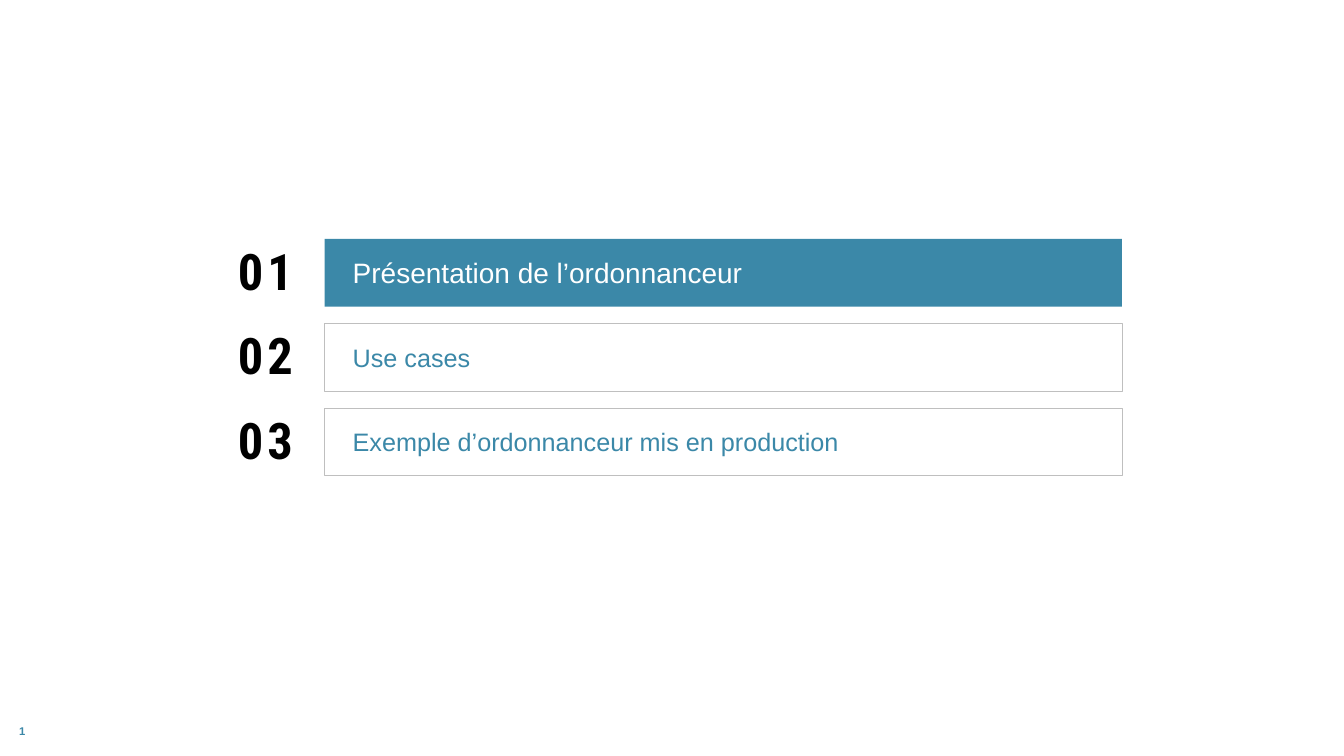
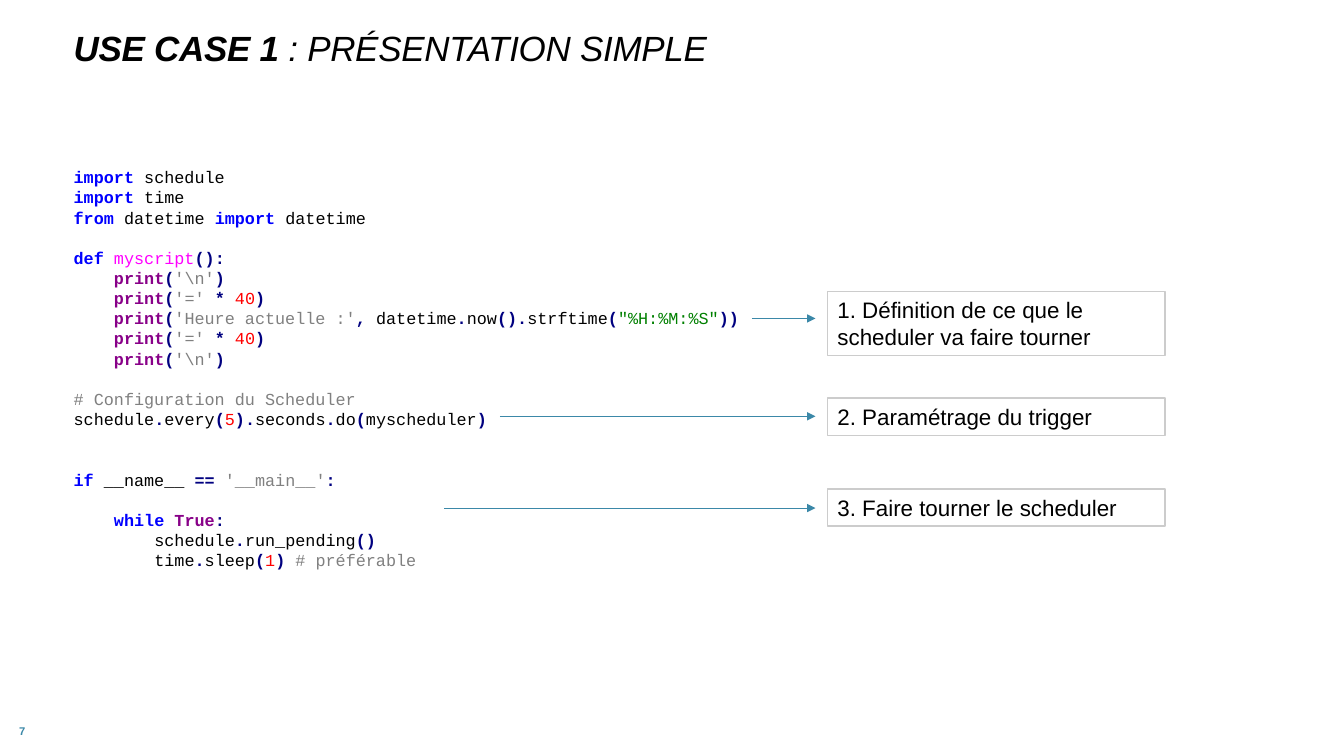
from dataclasses import dataclass

from pptx import Presentation
from pptx.dml.color import RGBColor
from pptx.enum.shapes import MSO_CONNECTOR, MSO_SHAPE
from pptx.enum.text import MSO_ANCHOR, MSO_AUTO_SIZE, PP_ALIGN
from pptx.oxml.ns import qn
from pptx.util import Pt
from lxml import etree

RECTANGLE = MSO_SHAPE.RECTANGLE
STRAIGHT = MSO_CONNECTOR.STRAIGHT
LEFT = PP_ALIGN.LEFT
TOP, MIDDLE = MSO_ANCHOR.TOP, MSO_ANCHOR.MIDDLE
TITLE_ONLY, BLANK = 5, 6

# Content
AGENDA_PAGE = "1"
AGENDA = ["Présentation de l’ordonnanceur", "Use cases",
          "Exemple d’ordonnanceur mis en production"]
CURRENT_ITEM = 0

CODE_PAGE = "7"
TITLE = [("USE CASE 1 ", True), (": PRÉSENTATION SIMPLE", False)]
# (empty lines above, lines of the block)
CODE_BLOCKS = [
    (0, ["import schedule",
         "import time",
         "from datetime import datetime"]),
    (1, ["def myscript():",
         r"    print('\n')",
         "    print('=' * 40)",
         "    print('Heure actuelle :', datetime.now().strftime(\"%H:%M:%S\"))",
         "    print('=' * 40)",
         r"    print('\n')"]),
    (1, ["# Configuration du Scheduler",
         "schedule.every(5).seconds.do(myscheduler)"]),
    (2, ["if __name__ == '__main__':"]),
    (1, ["    while True:",
         "        schedule.run_pending()",
         "        time.sleep(1) # préférable"]),
]
KEYWORDS = {"import", "from", "def", "if", "while"}
BUILTINS = {"print", "True"}
FUNCTIONS = {"myscript"}
# text, box top, box height, arrow start, arrow height on the slide
CALLOUTS = [
    ("1. Définition de ce que le scheduler va faire tourner", 208.1, 46.1, 537.1, 227.5),
    ("2. Paramétrage du trigger", 284.4, 26.6, 357.1, 297.4),
    ("3. Faire tourner le scheduler", 349.2, 26.6, 317.5, 362.9),
]


@dataclass(frozen=True)
class Theme:
    accent: str = "3B88A8"
    text: str = "000000"
    paper: str = "FFFFFF"
    item_line: str = "BFBFBF"
    callout_line: str = "CCCCCC"
    body_font: str = "Arial"
    code_font: str = "Courier New"
    number_font: str = "Roboto Condensed"
    title_size: float = 25
    current_size: float = 20
    item_size: float = 18
    number_size: float = 36
    callout_size: float = 16
    code_size: float = 12
    page_size: float = 8


THEME = Theme()
CODE_STYLES = {  # colour, bold
    "plain": (THEME.text, False),
    "keyword": ("0000FF", True),
    "builtin": ("880088", True),
    "function": ("FF00FF", False),
    "number": ("FF0000", False),
    "operator": ("000080", True),
    "comment": ("808080", False),
    "'": ("808080", False),
    '"': ("008000", False),
}

# Layout, in points
SLIDE_SIZE = (960, 540)
PAGE_BOX = (13.7, 514.8, 22.3, 14.4)
TITLE_BOX = (52.6, 24.5, 882, 56.2)
CODE_BOX = (52.6, 106.6, 566, 313.2)
ITEM_LEFT, ITEM_TOP, ITEM_WIDTH, ITEM_HEIGHT, ITEM_PITCH = 231.9, 170.6, 569.5, 48.4, 60.3
NUMBER_LEFT, NUMBER_TOP, NUMBER_SIDE = 169.9, 157, 72
CALLOUT_LEFT, CALLOUT_WIDTH, ARROW_END = 591.1, 241.2, 582.5
CODE_LINE = 14.4
CODE_CHARACTER = 0.6 * THEME.code_size


def points(values):
    return [Pt(value) for value in values]


def set_frame(frame, anchor=MIDDLE, insets=(0, 0, 0, 0)):
    left, top, right, bottom = points(insets)
    settings = {"word_wrap": True, "auto_size": MSO_AUTO_SIZE.NONE,
                "vertical_anchor": anchor, "margin_left": left, "margin_top": top,
                "margin_right": right, "margin_bottom": bottom}
    for name, value in settings.items():
        setattr(frame, name, value)
    return frame


def add_run(paragraph, text, size, color, font=THEME.body_font, bold=False,
            italic=False, tracking=None):
    run = paragraph.add_run()
    run.text = text
    settings = {"name": font, "size": Pt(size), "bold": bold, "italic": italic}
    for name, value in settings.items():
        setattr(run.font, name, value)
    run.font.color.rgb = RGBColor.from_string(color)
    if tracking is not None:
        run.font._element.set("spc", str(round(tracking * 100)))


def add_text(slide, box, text, size, color, **style):
    frame = set_frame(slide.shapes.add_textbox(*points(box)).text_frame)
    add_run(frame.paragraphs[0], text, size, color, **style)


def add_box(slide, box, text, size, color, fill=None, line=None, line_width=1,
            anchor=MIDDLE, insets=(7.2, 3.6, 7.2, 3.6)):
    shape = slide.shapes.add_shape(RECTANGLE, *points(box))
    shape.shadow.inherit = False
    for format_fill, fill_color in ((shape.fill, fill), (shape.line.fill, line)):
        if fill_color:
            format_fill.solid()
            format_fill.fore_color.rgb = RGBColor.from_string(fill_color)
        else:
            format_fill.background()
    if line:
        shape.line.width = Pt(line_width)
    paragraph = set_frame(shape.text_frame, anchor, insets).paragraphs[0]
    paragraph.alignment = LEFT
    add_run(paragraph, text, size, color)


def add_arrow(slide, start, end, height):
    arrow = slide.shapes.add_connector(STRAIGHT, *points((start, height, end, height)))
    arrow.line.width = Pt(0.5)
    arrow.line.color.rgb = RGBColor.from_string(THEME.accent)
    etree.SubElement(arrow.line._get_or_add_ln(), qn("a:tailEnd"), type="triangle")
    etree.SubElement(arrow._element.spPr, qn("a:effectLst"))


def add_slide(presentation, layout, page):
    slide = presentation.slides.add_slide(presentation.slide_layouts[layout])
    add_text(slide, PAGE_BOX, page, THEME.page_size, THEME.accent, bold=True)
    return slide


def set_title(slide, parts):
    title = slide.shapes.title
    title.left, title.top, title.width, title.height = points(TITLE_BOX)
    paragraph = set_frame(title.text_frame, TOP).paragraphs[0]
    paragraph.alignment = LEFT
    paragraph.line_spacing = 0.8
    for text, bold in parts:
        add_run(paragraph, text, THEME.title_size, THEME.text, bold=bold,
                italic=True, tracking=-0.2)


# Syntax colouring
def character_kind(character):
    if character.isalnum() or character == "_":
        return "word"
    if character.isspace():
        return "plain"
    return character if character in "'\"#" else "operator"


def word_style(word):
    if word.isdigit():
        return "number"
    for style, words in (("keyword", KEYWORDS), ("builtin", BUILTINS),
                         ("function", FUNCTIONS)):
        if word in words:
            return style
    return "plain"


def split_tokens(line):
    start = 0
    while start < len(line):
        kind = character_kind(line[start])
        end = start + 1
        if kind == "#":
            kind, end = "comment", len(line)
        elif kind in "'\"":
            end = line.index(kind, end) + 1
        else:
            while end < len(line) and character_kind(line[end]) == kind:
                end += 1
        token = line[start:end]
        yield token, word_style(token) if kind == "word" else kind
        start = end


def add_code(slide, blocks):
    frame = set_frame(slide.shapes.add_textbox(*points(CODE_BOX)).text_frame)
    paragraph = frame.paragraphs[0]
    for empty_lines, lines in blocks:
        for index, line in enumerate(lines):
            if paragraph.runs:
                paragraph = frame.add_paragraph()
            code = line.lstrip()
            indent = (len(line) - len(code)) * CODE_CHARACTER
            paragraph._p.get_or_add_pPr().set("marL", str(Pt(indent)))
            paragraph.line_spacing = Pt(CODE_LINE)
            paragraph.space_before = Pt(0 if index else empty_lines * CODE_LINE)
            for token, style in split_tokens(code):
                color, bold = CODE_STYLES[style]
                add_run(paragraph, token, THEME.code_size, color,
                        font=THEME.code_font, bold=bold)


# Slides
def build_agenda(presentation):
    slide = add_slide(presentation, BLANK, AGENDA_PAGE)
    current = {"size": THEME.current_size, "color": THEME.paper, "fill": THEME.accent}
    other = {"size": THEME.item_size, "color": THEME.accent,
             "line": THEME.item_line, "line_width": 0.25}
    for index, text in enumerate(AGENDA):
        offset = index * ITEM_PITCH
        add_box(slide, (ITEM_LEFT, ITEM_TOP + offset, ITEM_WIDTH, ITEM_HEIGHT), text,
                insets=(20, 3.6, 7.2, 3.6),
                **(current if index == CURRENT_ITEM else other))
        add_text(slide, (NUMBER_LEFT, NUMBER_TOP + offset, NUMBER_SIDE, NUMBER_SIDE),
                 f"{index + 1:02}", THEME.number_size, THEME.text,
                 font=THEME.number_font, bold=True, tracking=3)


def build_use_case(presentation):
    slide = add_slide(presentation, TITLE_ONLY, CODE_PAGE)
    set_title(slide, TITLE)
    add_code(slide, CODE_BLOCKS)
    for text, top, height, arrow_start, arrow_height in CALLOUTS:
        add_box(slide, (CALLOUT_LEFT, top, CALLOUT_WIDTH, height), text,
                THEME.callout_size, THEME.text, fill=THEME.paper,
                line=THEME.callout_line, anchor=TOP)
        add_arrow(slide, arrow_start, ARROW_END, arrow_height)


def main():
    presentation = Presentation()
    presentation.slide_width, presentation.slide_height = points(SLIDE_SIZE)
    build_agenda(presentation)
    build_use_case(presentation)
    presentation.save("out.pptx")


if __name__ == "__main__":
    main()
